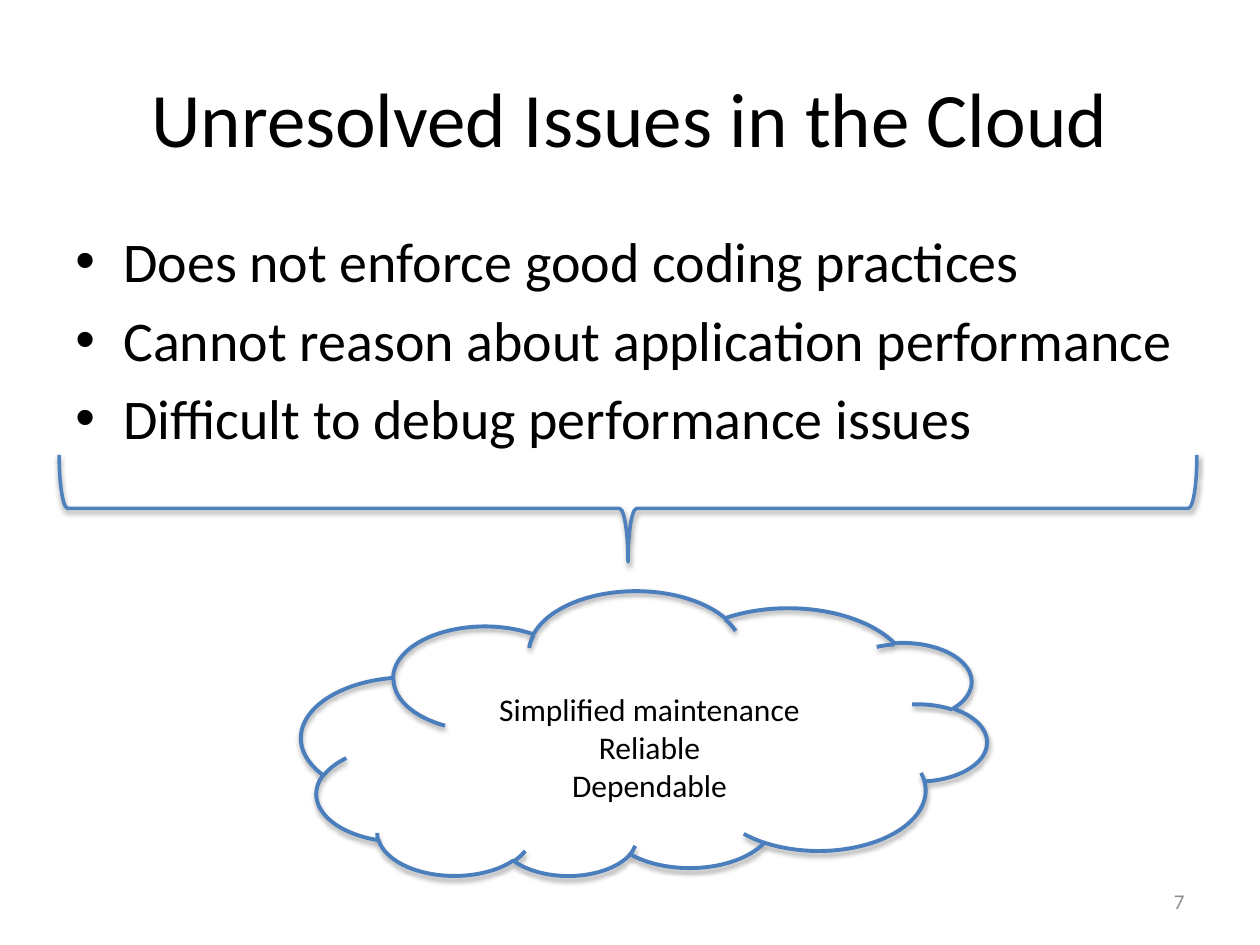
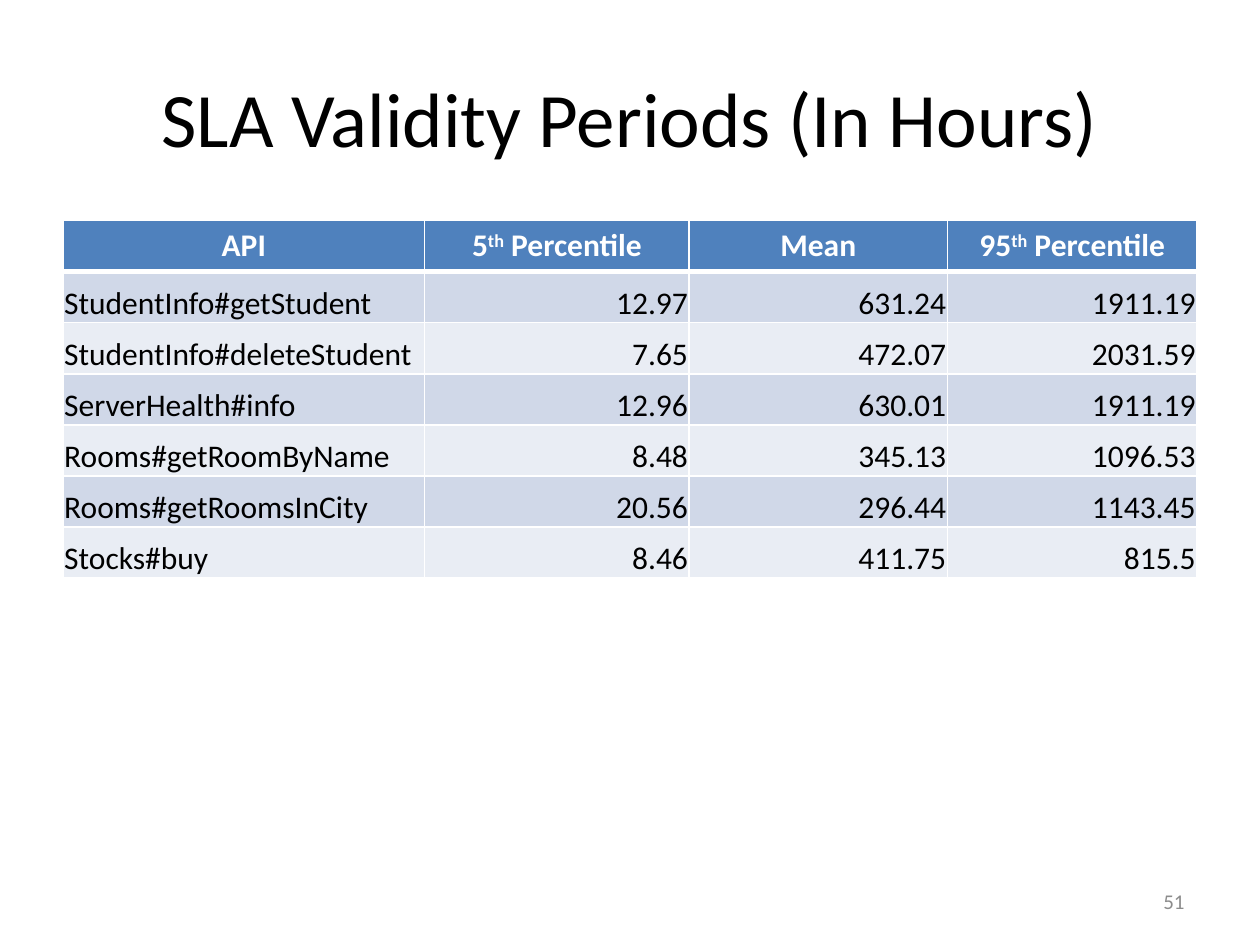
from dataclasses import dataclass

from lxml.etree import SubElement
from pptx import Presentation
from pptx.dml.color import RGBColor
from pptx.enum.shapes import MSO_SHAPE as SHAPE
from pptx.enum.text import MSO_ANCHOR as ANCHOR, PP_ALIGN as ALIGN
from pptx.oxml.ns import qn
from pptx.util import Inches, Pt


@dataclass(frozen=True)
class Theme:
    font: str = "Calibri"
    ink: str = "000000"
    white: str = "FFFFFF"
    muted: str = "8C8C8C"
    accent: str = "4F81BD"
    cloud_line: str = "4B7EBC"
    bands: tuple = ("D0D8E8", "E9EDF4")
    title: int = 44
    body: int = 32
    small: int = 18
    footer: int = 12


THEME = Theme()
TITLE_BOX = (0.5, 0.3, 9, 1.25)
BODY_BOX = (0.5, 1.75, 9, 4.95)
TABLE_BOX = (0.5, 1.75, 9, 2.84)
BRACE_BOX = (4.56, -0.48, 0.85, 9.03)
CLOUD_BOX = (2.39, 4.7, 5.44, 2.26)
CLOUD_TEXT_BOX = (3.82, 5.43, 2.67, 1.01)
NUMBER_BOX = (7.17, 6.95, 2.33, 0.4)

ISSUES = [
    "Does not enforce good coding practices",
    "Cannot reason about application performance",
    "Difficult to debug performance issues",
]
BENEFITS = ["Simplified maintenance", "Reliable", "Dependable"]
COLUMN_WIDTHS = [2.87, 2.1, 2.05, 1.98]
HEADINGS = ["API", "5^th^ Percentile", "Mean", "95^th^ Percentile"]
VALIDITY_HOURS = [
    ("StudentInfo#getStudent", "12.97", "631.24", "1911.19"),
    ("StudentInfo#deleteStudent", "7.65", "472.07", "2031.59"),
    ("ServerHealth#info", "12.96", "630.01", "1911.19"),
    ("Rooms#getRoomByName", "8.48", "345.13", "1096.53"),
    ("Rooms#getRoomsInCity", "20.56", "296.44", "1143.45"),
    ("Stocks#buy", "8.46", "411.75", "815.5"),
]


def rgb(color):
    return RGBColor.from_string(color)


def inches(box):
    return [Inches(v) for v in box]


def write(p, text, size, color=THEME.ink, align=ALIGN.LEFT, bold=False):
    """Fill a paragraph; text between ^ marks is superscript."""
    p.alignment = align
    for i, part in enumerate(text.split("^")):
        r = p.add_run()
        r.text = part
        r.font.name, r.font.size, r.font.bold = THEME.font, Pt(size), bold
        r.font.color.rgb = rgb(color)
        if i % 2:
            r._r.get_or_add_rPr().set("baseline", "30000")


def add_text(slide, box, lines, size, anchor=ANCHOR.TOP, wrap=True, **style):
    tf = slide.shapes.add_textbox(*inches(box)).text_frame
    tf.word_wrap, tf.vertical_anchor = wrap, anchor
    for i, line in enumerate(lines):
        p = tf.add_paragraph() if i else tf.paragraphs[0]
        write(p, line, size, **style)
    return tf


def add_bullets(slide, box, lines):
    tf = add_text(slide, box, lines, THEME.body)
    for p in tf.paragraphs:
        p.space_before = Pt(6.4)
        pPr = p._p.get_or_add_pPr()
        pPr.set("marL", str(Inches(0.38)))
        pPr.set("indent", str(-Inches(0.38)))
        SubElement(pPr, qn("a:buFont"), typeface="Arial")
        SubElement(pPr, qn("a:buChar"), char="•")


def add_outline(slide, kind, box, rotation, color, width, shadow_distance, shadow_alpha):
    """Add an unfilled shape with a soft shadow falling straight down."""
    sp = slide.shapes.add_shape(kind, *inches(box))
    sp.rotation = rotation
    sp.fill.background()
    sp.line.color.rgb = rgb(color)
    sp.line.width = Pt(width)
    sp.shadow.inherit = False
    effects = sp._element.spPr.find(qn("a:effectLst"))
    shadow = SubElement(effects, qn("a:outerShdw"), blurRad=str(Pt(3.1)),
                        dist=str(Pt(shadow_distance)), dir="5400000", rotWithShape="0")
    tint = SubElement(shadow, qn("a:srgbClr"), val=THEME.ink)
    SubElement(tint, qn("a:alpha"), val=str(shadow_alpha * 1000))
    return sp


def add_borders(cell, **widths):
    """Draw white cell edges; call before the cell is filled."""
    tcPr = cell._tc.get_or_add_tcPr()
    for side in "LRTB":
        ln = SubElement(tcPr, qn(f"a:ln{side}"), w=str(Pt(widths.get(side, 1))))
        fill = SubElement(ln, qn("a:solidFill"))
        SubElement(fill, qn("a:srgbClr"), val=THEME.white)


def paint(cell, color):
    cell.fill.solid()
    cell.fill.fore_color.rgb = rgb(color)


def fill_heading(cell, text):
    add_borders(cell, B=3)
    paint(cell, THEME.accent)
    write(cell.text_frame.paragraphs[0], text, THEME.small,
          THEME.white, ALIGN.CENTER, bold=True)


def fill_value(cell, text, row, col):
    add_borders(cell, T=3 if row == 1 else 1)
    paint(cell, THEME.bands[(row - 1) % 2])
    cell.vertical_anchor = ANCHOR.BOTTOM
    cell.margin_left = cell.margin_right = cell.margin_top = Inches(0.01)
    cell.margin_bottom = 0
    write(cell.text_frame.paragraphs[0], text, THEME.small,
          align=ALIGN.RIGHT if col else ALIGN.LEFT)


def add_validity_table(slide, box):
    count = len(VALIDITY_HOURS) + 1
    table = slide.shapes.add_table(count, len(HEADINGS), *inches(box)).table
    table.horz_banding = False
    for column, width in zip(table.columns, COLUMN_WIDTHS):
        column.width = Inches(width)
    for row in table.rows:
        row.height = Inches(box[3] / count)
    for col, heading in enumerate(HEADINGS):
        fill_heading(table.cell(0, col), heading)
    for row, values in enumerate(VALIDITY_HOURS, 1):
        for col, value in enumerate(values):
            fill_value(table.cell(row, col), value, row, col)


def add_base_slide(prs, title, number):
    slide = prs.slides.add_slide(prs.slide_layouts[6])
    add_text(slide, TITLE_BOX, [title], THEME.title, ANCHOR.MIDDLE, align=ALIGN.CENTER)
    add_text(slide, NUMBER_BOX, [number], THEME.footer, ANCHOR.MIDDLE,
             color=THEME.muted, align=ALIGN.RIGHT)
    return slide


def add_issues_slide(prs):
    slide = add_base_slide(prs, "Unresolved Issues in the Cloud", "7")
    add_bullets(slide, BODY_BOX, ISSUES)
    brace = add_outline(slide, SHAPE.LEFT_BRACE, BRACE_BOX, 270, THEME.accent, 2, 1.6, 38)
    brace.adjustments[0], brace.adjustments[1] = 0.08, 0.5
    add_outline(slide, SHAPE.CLOUD, CLOUD_BOX, 180, THEME.cloud_line, 2.25, 1.8, 35)
    add_text(slide, CLOUD_TEXT_BOX, BENEFITS, THEME.small, wrap=False, align=ALIGN.CENTER)


def add_validity_slide(prs):
    slide = add_base_slide(prs, "SLA Validity Periods (In Hours)", "51")
    add_validity_table(slide, TABLE_BOX)


def main():
    prs = Presentation()
    prs.slide_width, prs.slide_height = Inches(10), Inches(7.5)
    add_issues_slide(prs)
    add_validity_slide(prs)
    prs.save("out.pptx")


if __name__ == "__main__":
    main()
